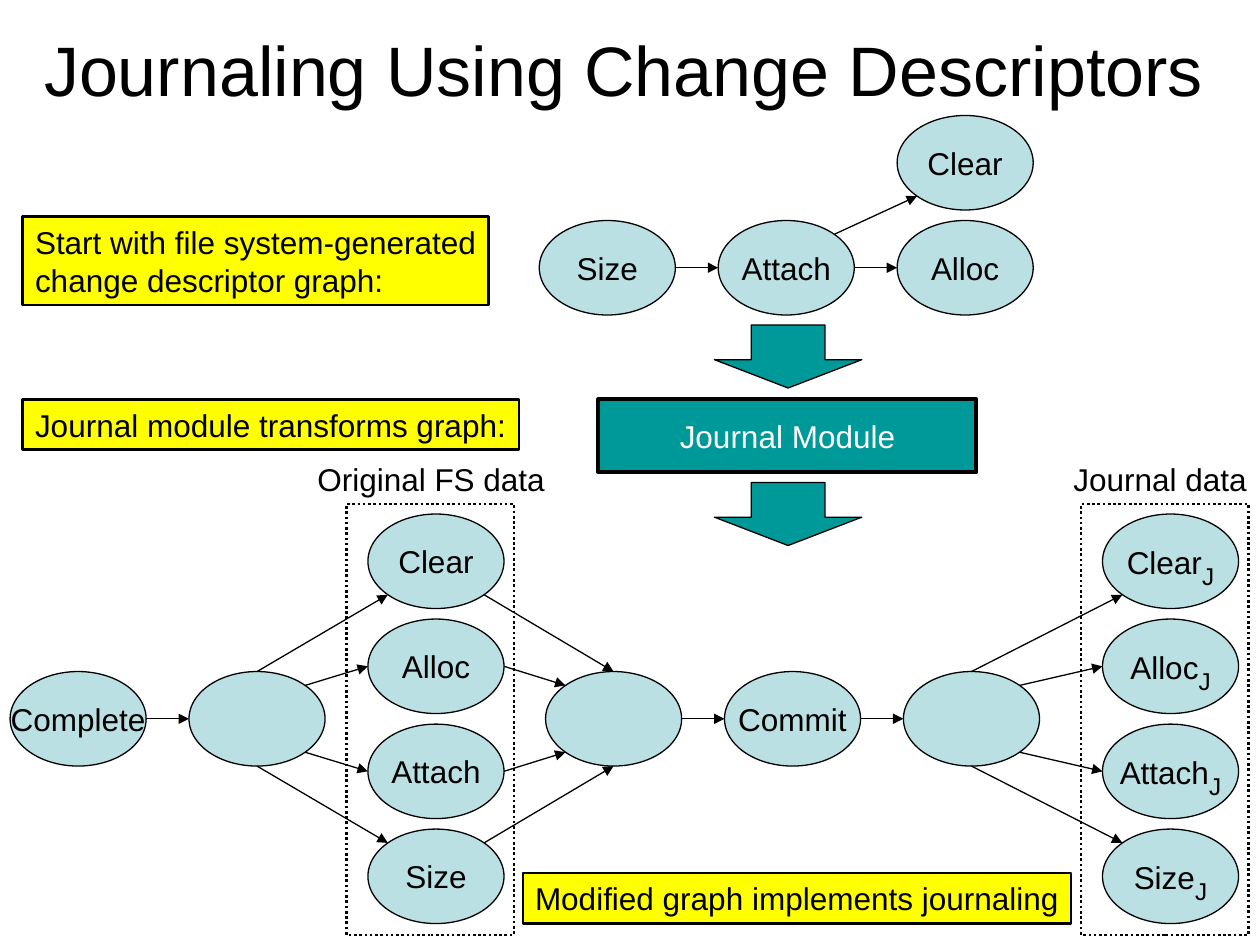
from math import sqrt

from lxml.etree import SubElement
from pptx import Presentation
from pptx.dml.color import RGBColor
from pptx.enum.dml import MSO_LINE
from pptx.enum.shapes import MSO_CONNECTOR, MSO_SHAPE as SHAPE
from pptx.enum.text import MSO_ANCHOR as ANCHOR, MSO_AUTO_SIZE, PP_ALIGN as ALIGN
from pptx.oxml.ns import qn
from pptx.util import Inches, Pt

COLORS = {"black": "000000", "white": "FFFFFF", "node": "BBE0E3",
          "module": "009999", "note": "FFFF00"}
TITLE = "Journaling Using Change Descriptors"
NODE_W, NODE_H = 1.08, 0.75
ROW_STEP = 2.5 / 3
TOP_X, TOP_Y = (4.28, 5.7, 7.12), 1.75
STACK_Y, MIDDLE_Y = 4.08, 5.33
STACK = ["Clear", "Alloc", "Attach", "Size"]
STACKS = {"data": (2.92, ""), "journal": (8.75, "J")}   # left, subscript

# name: (label, left, top)
NODES = {
    "size": ("Size", TOP_X[0], TOP_Y),
    "attach": ("Attach", TOP_X[1], TOP_Y),
    "alloc": ("Alloc", TOP_X[2], TOP_Y),
    "clear": ("Clear", TOP_X[2], TOP_Y - ROW_STEP),
    "complete": ("Complete", 0.08, MIDDLE_Y),
    "fork": ("", 1.5, MIDDLE_Y),
    "join": ("", 4.33, MIDDLE_Y),
    "commit": ("Commit", 5.75, MIDDLE_Y),
    "journal fork": ("", 7.17, MIDDLE_Y),
}
# from, site, to, site
EDGES = [
    ("size", "E", "attach", "W"), ("attach", "E", "alloc", "W"),
    ("attach", "NE", "clear", "SW"), ("complete", "E", "fork", "W"),
    ("join", "E", "commit", "W"), ("commit", "E", "journal fork", "W"),
]
# site on the single node, site on the stacked node, for each row of a stack
FAN_OUT = [("N", "SW"), ("NE", "W"), ("SE", "W"), ("S", "NW")]
FAN_IN = [("N", "SE"), ("NW", "E"), ("SW", "E"), ("S", "NE")]
# text, left, top, width, height, alignment
NOTES = [
    ("Start with file system-generated\nchange descriptor graph:",
     0.18, 1.72, 3.7, 0.7, ALIGN.LEFT),
    ("Journal module transforms graph:", 0.18, 3.17, 3.94, 0.4, ALIGN.LEFT),
    ("Modified graph implements journaling", 4.15, 6.93, 4.35, 0.4, ALIGN.RIGHT),
]
# caption, left, width, left of the dotted frame
GROUPS = [("Original FS data", 2.42, 2.08, 2.75), ("Journal data", 8.42, 1.75, 8.58)]

prs = Presentation()
prs.slide_width, prs.slide_height = Inches(10), Inches(7.5)
s = prs.slides.add_slide(prs.slide_layouts[5])


def rgb(name):
    return RGBColor.from_string(COLORS[name])


def write(sp, text, sub="", size=18, color="black", align=ALIGN.CENTER,
          anchor=ANCHOR.MIDDLE, wrap=False):
    """Fill a shape with one paragraph per line; sub is a closing subscript."""
    tf = sp.text_frame
    tf.word_wrap, tf.auto_size, tf.vertical_anchor = wrap, MSO_AUTO_SIZE.NONE, anchor
    for i, line in enumerate(text.split("\n")):
        p = tf.paragraphs[0] if i == 0 else tf.add_paragraph()
        p.alignment = align
        for part in filter(None, (line, sub)):
            r = p.add_run()
            r.text = part
            r.font.name, r.font.size = "Arial", Pt(size)
            r.font.color.rgb = rgb(color)
    if sub:
        r.font.size = Pt(24)
        r._r.get_or_add_rPr().set("baseline", "-25000")


def add_shape(kind, x, y, w, h, fill=None, line=0.75):
    sp = s.shapes.add_shape(kind, Inches(x), Inches(y), Inches(w), Inches(h))
    sp.shadow.inherit = False
    if fill:
        sp.fill.solid()
        sp.fill.fore_color.rgb = rgb(fill)
    else:
        sp.fill.background()
    sp.line.color.rgb, sp.line.width = rgb("black"), Pt(line)
    return sp


def add_node(name, label, x, y, sub=""):
    places[name] = x, y
    sp = add_shape(SHAPE.OVAL, x, y, NODE_W, NODE_H, "node")
    if label:
        write(sp, label, sub)


def site(name, side):
    """Point on a node's outline in a compass direction."""
    x, y = places[name]
    dx, dy = ("E" in side) - ("W" in side), ("S" in side) - ("N" in side)
    reach = 0.5 / sqrt(dx * dx + dy * dy)
    return Inches(x + NODE_W * (0.5 + dx * reach)), Inches(y + NODE_H * (0.5 + dy * reach))


def add_arrow(start, start_side, end, end_side):
    c = s.shapes.add_connector(MSO_CONNECTOR.STRAIGHT,
                               *site(start, start_side), *site(end, end_side))
    c.line.color.rgb, c.line.width = rgb("black"), Pt(0.75)
    SubElement(c.line._get_or_add_ln(), qn("a:tailEnd"), type="triangle")
    SubElement(c._element.spPr, qn("a:effectLst"))


title = s.shapes.title
title.left, title.top, title.width, title.height = map(Inches, (0.25, 0.08, 9.5, 0.92))
write(title, TITLE, size=40, align=ALIGN.LEFT, wrap=True)

places = {}
for name, (label, x, y) in NODES.items():
    add_node(name, label, x, y)
for stack, (x, sub) in STACKS.items():
    for row, label in enumerate(STACK):
        add_node((stack, row), label, x, STACK_Y + row * ROW_STEP, sub)

for edge in EDGES:
    add_arrow(*edge)
for fork, stack in (("fork", "data"), ("journal fork", "journal")):
    for row, (fork_side, side) in enumerate(FAN_OUT):
        add_arrow(fork, fork_side, (stack, row), side)
for row, (join_side, side) in enumerate(FAN_IN):
    add_arrow(("data", row), side, "join", join_side)

for caption, x, w, frame_x in GROUPS:
    frame = add_shape(SHAPE.RECTANGLE, frame_x, 4, 1.33, 3.42, line=1.5)
    frame.line.dash_style = MSO_LINE.ROUND_DOT
    box = s.shapes.add_textbox(Inches(x), Inches(3.6), Inches(w), Inches(0.4))
    write(box, caption, align=ALIGN.LEFT, anchor=ANCHOR.TOP, wrap=True)

for y in (2.58, 3.83):
    block_arrow = add_shape(SHAPE.DOWN_ARROW, 5.67, y, 1.17, 0.5, "module")
    block_arrow.adjustments[0], block_arrow.adjustments[1] = 0.5, 0.45
    # the head is 0.45 of the arrow's shorter side subtracted from its tip
    block_arrow.adjustments[1] = 0.45
module = add_shape(SHAPE.RECTANGLE, 4.75, 3.17, 3, 0.58, "module", 2.25)
write(module, "Journal Module", color="white")

for text, x, y, w, h, align in NOTES:
    note = add_shape(SHAPE.RECTANGLE, x, y, w, h, "note", 1.5)
    write(note, text, align=align, anchor=ANCHOR.TOP)

prs.save("out.pptx")
